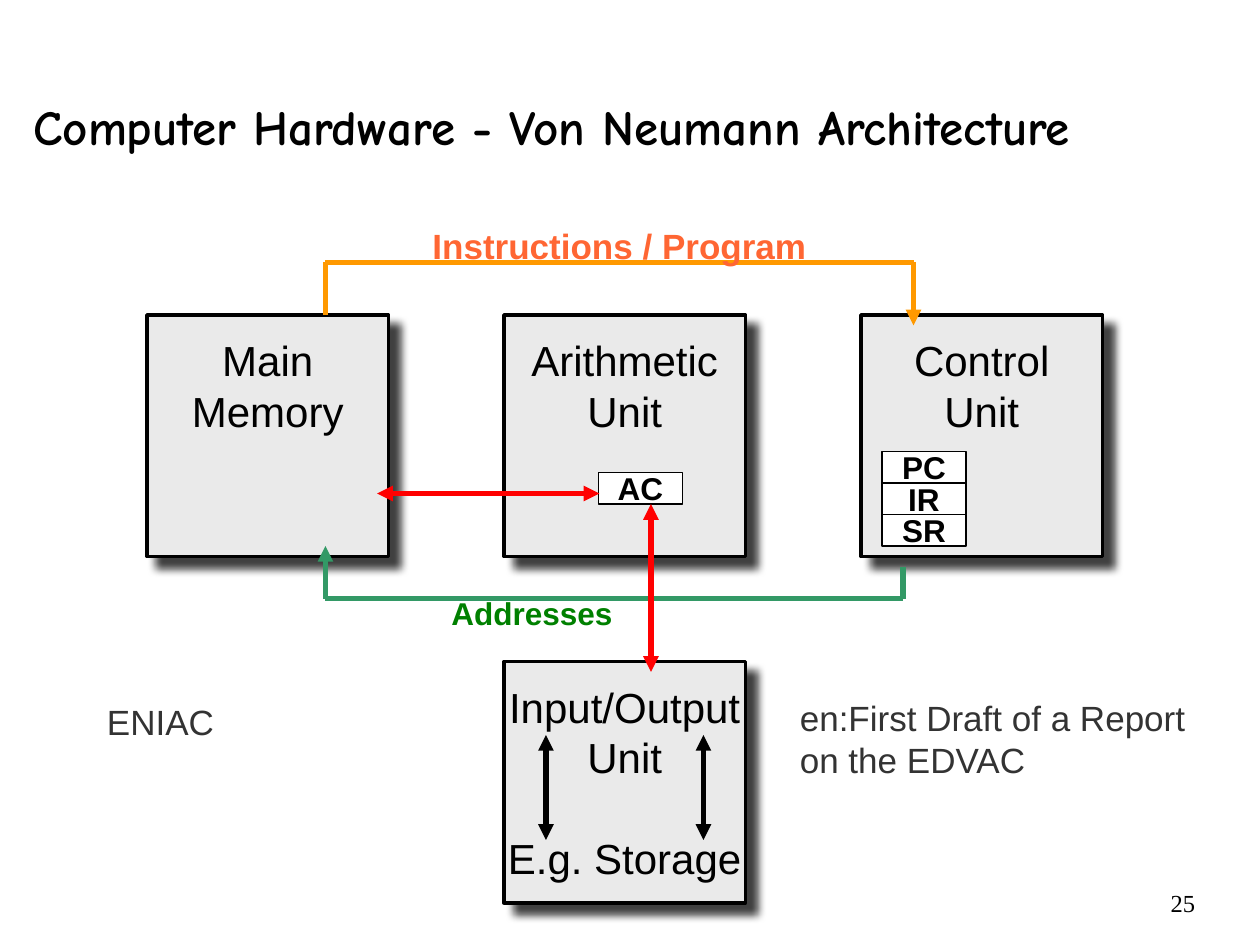
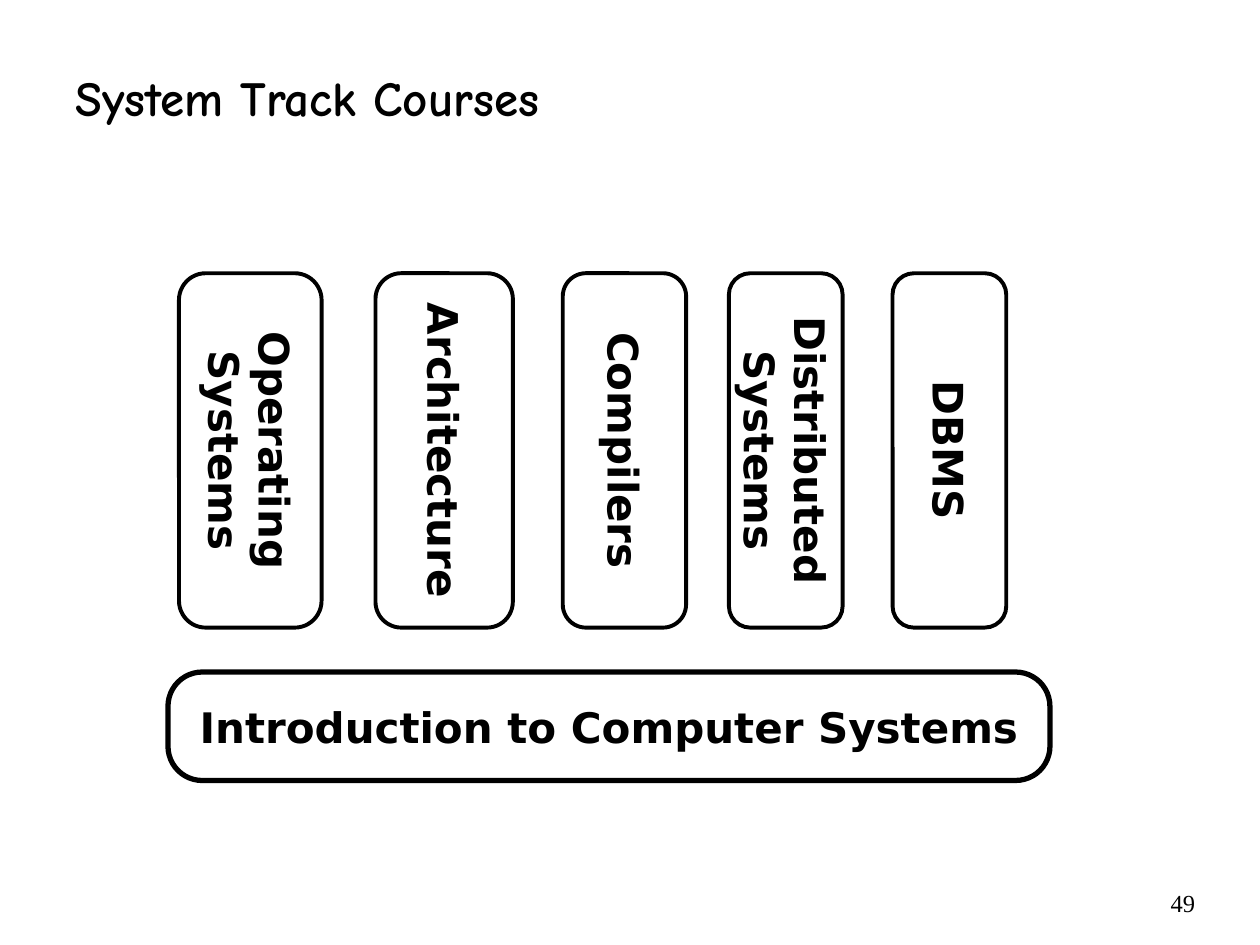
from pptx import Presentation
from pptx.dml.color import RGBColor as Rgb
from pptx.enum.shapes import MSO_CONNECTOR as Conn, MSO_SHAPE as Kind
from pptx.enum.text import MSO_ANCHOR as Anchor, PP_ALIGN as Align
from pptx.oxml import parse_xml
from pptx.oxml.ns import qn
from pptx.util import Pt
from lxml.etree import SubElement as Sub

HUE = {"ink": "000000", "grey": "EAEAEA", "white": "FFFFFF", "note": "333333",
       "gold": "FF9900", "coral": "FF6633", "teal": "339966", "green": "008000",
       "red": "FF0000"}
SHADE = ('<a:effectLst xmlns:a="http://schemas.openxmlformats.org/drawingml/2006/main">'
         '<a:outerShdw blurRad="63500" dist="107950" dir="2700000" algn="ctr" rotWithShape="0">'
         '<a:srgbClr val="000000"><a:alpha val="75000"/></a:srgbClr></a:outerShdw></a:effectLst>')


def write(shape, text, size, font="Arial", hue="ink", bold=False,
          align=Align.CENTER, anchor=Anchor.MIDDLE, wrap=True):
    """Fill a shape with one styled paragraph per line of text."""
    frame = shape.text_frame
    frame.word_wrap, frame.vertical_anchor = wrap, anchor
    for i, line in enumerate(text.split("\n")):
        par = frame.add_paragraph() if i else frame.paragraphs[0]
        par.text, par.alignment = line, align
        par.line_spacing = Pt(1.2 * size)
        par.font.name, par.font.size, par.font.bold = font, Pt(size), bold
        par.font.color.rgb = Rgb.from_string(HUE[hue])
    return frame


def block(slide, kind, box, width, fill=None):
    """Add an outlined shape without a shadow."""
    shape = slide.shapes.add_shape(kind, *map(Pt, box))
    shape.shadow.inherit = False
    shape.line.color.rgb = Rgb.from_string(HUE["ink"])
    shape.line.width = Pt(width)
    if fill:
        shape.fill.solid()
        shape.fill.fore_color.rgb = Rgb.from_string(HUE[fill])
    else:
        shape.fill.background()
    return shape


deck = Presentation()
deck.slide_width, deck.slide_height = Pt(720), Pt(540)

# Page numbers and titles
pages = []
for title, box, page in [
        ("Computer Hardware - Von Neumann Architecture", (12, 36, 696, 72), "25"),
        ("System Track Courses", (36, 30, 654, 50.4), "49")]:
    slide = deck.slides.add_slide(deck.slide_layouts[6])
    foot = slide.shapes.add_textbox(Pt(588), Pt(504), Pt(102), Pt(20))
    write(foot, page, 14, "Times New Roman", align=Align.RIGHT, anchor=Anchor.TOP)
    head = slide.shapes.add_textbox(*map(Pt, box))
    write(head, title, 28, "Comic Neue", bold=True, align=Align.LEFT)
    pages.append(slide)
arch, track = pages

# Units of the machine
SIDE = 138
for text, x, y in [("Arithmetic\nUnit", 288, 180), ("Control\nUnit", 492, 180),
                   ("Input/Output\nUnit\nE.g. Storage", 288, 378),
                   ("Main\nMemory", 84, 180)]:
    unit = block(arch, Kind.RECTANGLE, (x, y, SIDE, SIDE), 2, "grey")
    props = unit._element.spPr
    props.replace(props.find(qn("a:effectLst")), parse_xml(SHADE))
    frame = write(unit, text, 24, anchor=Anchor.TOP, wrap=False)
    frame.margin_top = Pt(11.4)
    for par in frame.paragraphs[2:]:
        par.space_before = Pt(28.8)

# Registers
for text, x, y in [("AC", 342, 270), ("PC", 504, 258), ("IR", 504, 276), ("SR", 504, 294)]:
    cell = block(arch, Kind.RECTANGLE, (x, y, 48, 18), 1, "white")
    write(cell, text, 18, bold=True, wrap=False)

# Instruction, address and data paths
for hue, ends, *points in [
        ("gold", ["tailEnd"], (186, 180), (186, 150), (522, 150), (522, 186)),
        ("teal", ["tailEnd"], (516, 324), (516, 342), (186, 342), (186, 312)),
        ("red", ["headEnd", "tailEnd"], (372, 288), (372, 384)),
        ("red", ["headEnd", "tailEnd"], (342.5, 282), (215.5, 282)),
        ("ink", ["headEnd", "tailEnd"], (402, 420), (402, 480)),
        ("ink", ["headEnd", "tailEnd"], (312, 420), (312, 480))]:
    for start, stop in zip(points, points[1:]):
        link = arch.shapes.add_connector(Conn.STRAIGHT, *map(Pt, start + stop))
        link.line.color.rgb = Rgb.from_string(HUE[hue])
        link.line.width = Pt(3)
        Sub(link._element.spPr, qn("a:effectLst"))
    for end in ends:
        Sub(link.line._get_or_add_ln(), qn("a:" + end), type="triangle")

# Labels and notes
for text, box, size, hue, bold, align, inset, wrap in [
        ("Instructions / Program", (186, 124.5, 336, 31.5), 20, "coral", True,
         Align.CENTER, 7.2, True),
        ("Addresses", (186, 336, 330, 29), 18, "green", True, Align.LEFT, 72, True),
        ("en:First Draft of a Report on the EDVAC", (450, 394.5, 246, 55.5), 20, "note",
         False, Align.LEFT, 7.2, True),
        ("ENIAC", (54, 396.5, 76.5, 31.5), 20, "note", False, Align.LEFT, 7.2, False)]:
    label = arch.shapes.add_textbox(*map(Pt, box))
    frame = write(label, text, size, hue=hue, bold=bold, align=align,
                  anchor=Anchor.TOP, wrap=wrap)
    frame.margin_left = Pt(inset)

# Base course
base = block(track, Kind.ROUNDED_RECTANGLE, (96, 384, 504, 62), 3)
base.adjustments[0] = 0.316
write(base, "Introduction to Computer Systems", 24, "DejaVu Sans", bold=True)

# Courses standing on it, turned a quarter
LONG, MID = 202.5, 257.4
for text, x, deep in [("Operating Systems", 143, 81.5), ("Architecture", 253.8, 78.5),
                      ("Compilers", 356.8, 70.5), ("Distributed Systems", 449, 65),
                      ("DBMS", 542.5, 65)]:
    box = (x - LONG / 2, MID - deep / 2, LONG, deep)
    course = block(track, Kind.ROUNDED_RECTANGLE, box, 2.25)
    course.rotation = 90
    course.adjustments[0] = 0.188
    write(course, text, 24, "DejaVu Sans", bold=True)

deck.save("out.pptx")
